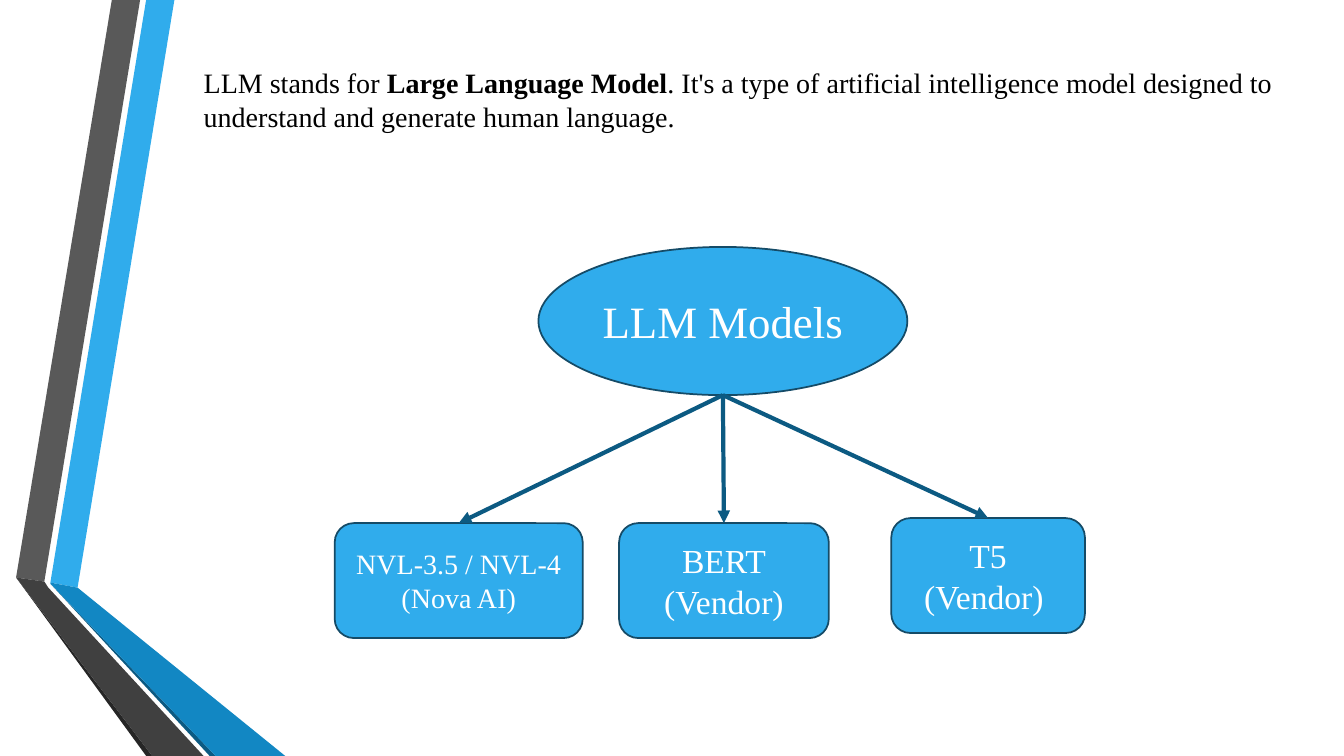
from lxml import etree
from pptx import Presentation, util as u
from pptx.dml.color import RGBColor
from pptx.enum import shapes, text
from pptx.oxml.ns import qn

SCALE = 9144


def px(n):
    return u.Emu(n * SCALE)


def hue(code):
    return RGBColor.from_string(code)


def write(frame, lines, size=20, color="FFFFFF", font="Times New Roman",
          align=text.PP_ALIGN.CENTER, after=0):
    frame.word_wrap = True
    for i, line in enumerate(lines):
        para = frame.add_paragraph() if i else frame.paragraphs[0]
        para.alignment = align
        para.space_after = u.Pt(after)
        for words, bold in line:
            run = para.add_run()
            run.text = words
            run.font.name = font
            run.font.size = u.Pt(size)
            run.font.bold = bold
            run.font.color.rgb = hue(color)


class Deck:
    blue, edge, dark = "30ACEC", "154B67", "0C5A82"

    def __init__(self, wide, high):
        self.show = Presentation()
        self.show.slide_width = px(wide)
        self.show.slide_height = px(high)
        self.slide = self.show.slides.add_slide(self.show.slide_layouts[1])
        title = self.slide.shapes.title
        title.element.getparent().remove(title.element)

    def band(self, color, points):
        pen = self.slide.shapes.build_freeform(*points[0], scale=SCALE)
        pen.add_line_segments(points[1:], close=True)
        shape = pen.convert_to_shape()
        shape.shadow.inherit = False
        shape.fill.solid()
        shape.fill.fore_color.rgb = hue(color)
        shape.line.fill.background()

    def body(self, x, y, w, h, line):
        box = self.slide.placeholders[1]
        box.left, box.top, box.width, box.height = map(px, (x, y, w, h))
        frame = box.text_frame
        frame.vertical_anchor = text.MSO_ANCHOR.TOP
        write(frame, [line], color="000000", align=text.PP_ALIGN.LEFT, after=6)
        props = frame.paragraphs[0]._p.get_or_add_pPr()
        props.set("marL", "0")
        props.set("indent", "0")
        etree.SubElement(props, qn("a:buNone"))

    def node(self, kind, x, y, w, h, lines, size):
        shape = self.slide.shapes.add_shape(kind, *map(px, (x, y, w, h)))
        shape.shadow.inherit = False
        shape.fill.solid()
        shape.fill.fore_color.rgb = hue(self.blue)
        shape.line.color.rgb = hue(self.edge)
        shape.line.width = u.Pt(1.25)
        write(shape.text_frame, [[(line, False)] for line in lines], size=size)
        return shape

    def arrow(self, top, leaf):
        link = self.slide.shapes.add_connector(
            shapes.MSO_CONNECTOR.STRAIGHT,
            top.left + top.width // 2, top.top + top.height,
            leaf.left + leaf.width // 2, leaf.top)
        link.end_connect(leaf, 0)
        link.line.color.rgb = hue(self.dark)
        link.line.width = u.Pt(3)
        etree.SubElement(link.line._get_or_add_ln(), qn("a:tailEnd"), type="triangle")
        etree.SubElement(link.element.spPr, qn("a:effectLst"))


def main():
    deck = Deck(1333, 750)
    bands = [
        (deck.blue, [(50, 578), (77, 583), (173, 0), (145, 0)]),
        ("595959", [(139, 0), (111, 0), (16, 573), (44, 577)]),
        ("262626", [(16, 573), (145, 750), (151, 750)]),
        (deck.dark, [(50, 579), (208, 750), (214, 750)]),
        ("1287C3", [(50, 578), (50, 579), (214, 750), (283, 750), (77, 583)]),
        ("404040", [(202, 750), (48, 583), (44, 577), (16, 573), (151, 750)]),
    ]
    for color, points in bands:
        deck.band(color, points)

    deck.body(192, 60, 1096, 114, [
        ("LLM stands for ", False),
        ("Large Language Model", True),
        (". It's a type of artificial intelligence model designed to "
         "understand and generate human language.", False),
    ])

    kind = shapes.MSO_SHAPE
    root = deck.node(kind.OVAL, 534, 245, 366, 147, ["LLM Models"], 32)
    models = [
        (332, 519, 246, ["NVL-3.5 / NVL-4", "(Nova AI)"], 20),
        (614, 519, 208, ["BERT", "(Vendor)"], 24),
        (884, 514, 192, ["T5", "(Vendor) "], 24),
    ]
    leaves = [deck.node(kind.ROUNDED_RECTANGLE, x, y, w, 114, lines, size)
              for x, y, w, lines, size in models]
    for leaf in leaves:
        deck.arrow(root, leaf)

    deck.show.save("out.pptx")


if __name__ == "__main__":
    main()
